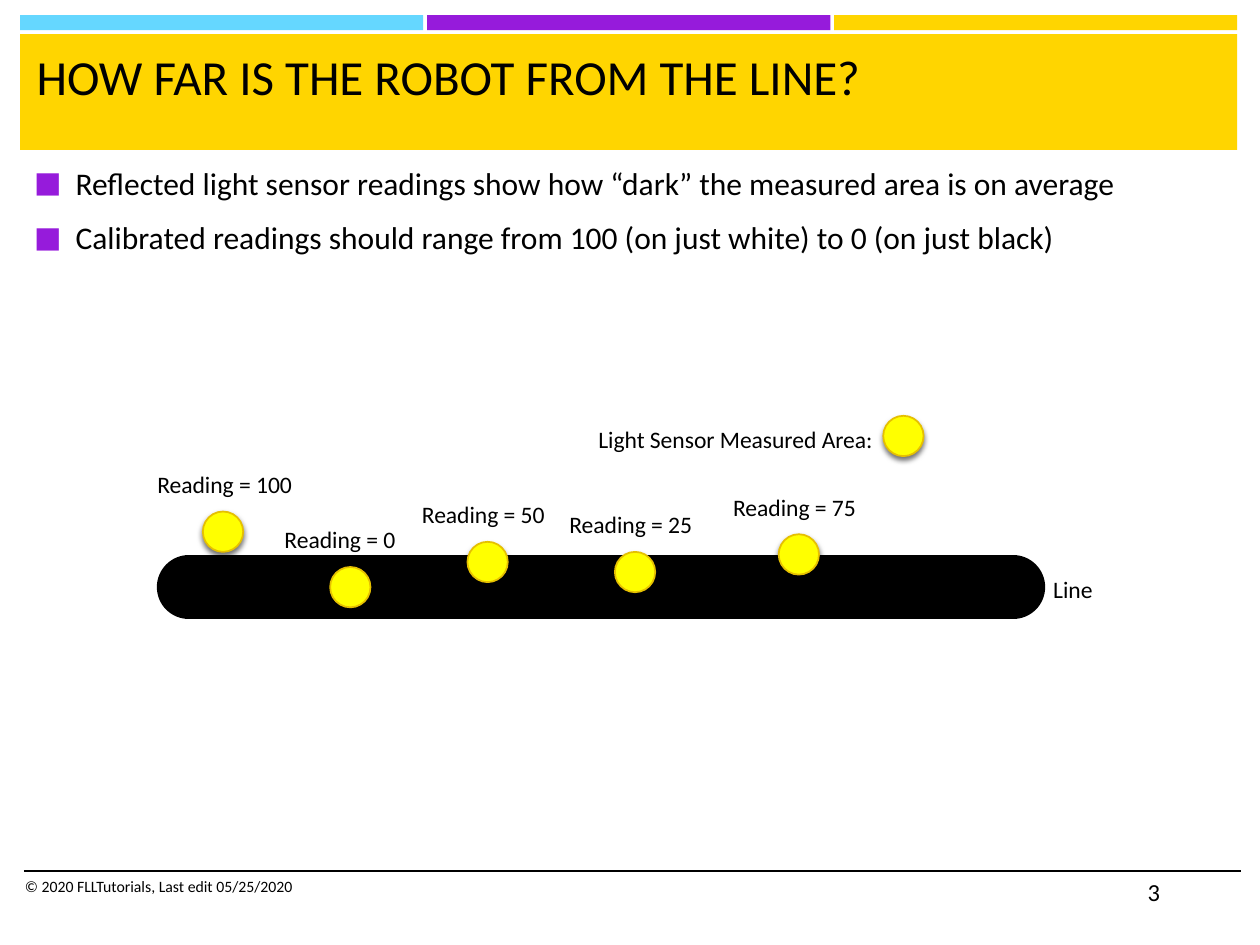
"""Build a slide on light sensor readings around a black line."""
from dataclasses import dataclass
from typing import NamedTuple

from lxml import etree
from pptx import Presentation
from pptx.dml.color import RGBColor
from pptx.enum import shapes, text
from pptx.oxml import parse_xml
from pptx.oxml.ns import nsdecls, qn
from pptx.util import Inches, Pt


@dataclass(frozen=True)
class Theme:
    """Hold the font, colours and type sizes."""
    font: str = "Calibri"
    black: str = "000000"
    blue: str = "65D7FF"
    purple: str = "961BDB"
    gold: str = "FFD500"
    yellow: str = "FFFF00"
    rim: str = "E6C000"
    title: float = 28
    body: float = 18
    label: float = 13.5
    number: float = 14
    footer: float = 9


class Reading(NamedTuple):
    """Describe one sensor position and its value."""
    left: float
    top: float
    value: int
    width: float = 1.19


THEME = Theme()
BARS = (THEME.blue, THEME.purple, THEME.gold)
READINGS = (
    Reading(1.61, 4.06, 100, 1.29),
    Reading(2.62, 4.5, 0, 1.1),
    Reading(3.71, 4.3, 50),
    Reading(4.88, 4.38, 25),
    Reading(6.18, 4.24, 75),
)
POINTS = (
    "Reflected light sensor readings show how “dark” the measured area is on average",
    "Calibrated readings should range from 100 (on just white) to 0 (on just black)",
)


def place(box, left: float, top: float, width: float, height: float) -> None:
    """Set the position and size of a box in inches."""
    frame = {"left": left, "top": top, "width": width, "height": height}
    for name, value in frame.items():
        setattr(box, name, Inches(value))


def write(box, lines: tuple, size: float, wrap: bool = True) -> None:
    """Fill a box with left-aligned paragraphs."""
    frame = box.text_frame
    formats = {"word_wrap": wrap, "vertical_anchor": text.MSO_ANCHOR.TOP,
               "auto_size": text.MSO_AUTO_SIZE.NONE if wrap
               else text.MSO_AUTO_SIZE.SHAPE_TO_FIT_TEXT}
    for name, value in formats.items():
        setattr(frame, name, value)
    frame.text = "\n".join(lines)
    for para in frame.paragraphs:
        para.alignment = text.PP_ALIGN.LEFT
        for span in para.runs:
            for name, value in {"name": THEME.font, "size": Pt(size)}.items():
                setattr(span.font, name, value)
            span.font.color.rgb = RGBColor.from_string(THEME.black)


def add_text(page, line: str, left: float, top: float, width: float,
             height: float = 0.33, size: float = THEME.label, wrap: bool = False) -> None:
    """Add a one-line text box."""
    box = page.shapes.add_textbox(*map(Inches, (left, top, width, height)))
    write(box, (line,), size, wrap)


def add_bar(page, left: float, top: float, width: float, height: float, colour: str) -> None:
    """Add a plain rectangle without an outline."""
    bar = page.shapes.add_shape(shapes.MSO_SHAPE.RECTANGLE,
                                *map(Inches, (left, top, width, height)))
    bar.shadow.inherit = False
    bar.fill.solid()
    bar.fill.fore_color.rgb = RGBColor.from_string(colour)
    bar.line.fill.background()


def add_spot(page, left: float, top: float) -> None:
    """Add a yellow measured area with a soft shadow."""
    spot = page.shapes.add_shape(shapes.MSO_SHAPE.OVAL,
                                 *map(Inches, (left, top, 0.32, 0.32)))
    spot.fill.solid()
    spot.fill.fore_color.rgb = RGBColor.from_string(THEME.yellow)
    spot.line.color.rgb = RGBColor.from_string(THEME.rim)
    spot.line.width = Pt(1)
    spot.element.spPr.append(parse_xml(
        f'<a:effectLst {nsdecls("a")}><a:outerShdw blurRad="{Pt(3)}" dist="{Pt(2)}" '
        f'dir="5400000" algn="ctr" rotWithShape="0"><a:srgbClr val="{THEME.black}">'
        '<a:alpha val="55000"/></a:srgbClr></a:outerShdw></a:effectLst>'))


def add_line(page, start: float, end: float, height: float, weight: float,
             cap: str = "flat") -> None:
    """Add a level black line."""
    line = page.shapes.add_connector(shapes.MSO_CONNECTOR.STRAIGHT,
                                     *map(Inches, (start, height, end, height)))
    line.line.color.rgb = RGBColor.from_string(THEME.black)
    line.line.width = Pt(weight)
    properties = line.element.spPr
    properties.find(qn("a:ln")).set("cap", cap)
    etree.SubElement(properties, qn("a:effectLst"))


def add_bullet(para) -> None:
    """Give a paragraph a purple square bullet."""
    settings = para._p.get_or_add_pPr()
    settings.set("marL", str(Inches(0.33)))
    settings.set("indent", str(Inches(-0.33)))
    colour = etree.SubElement(settings, qn("a:buClr"))
    etree.SubElement(colour, qn("a:srgbClr"), val=THEME.purple)
    etree.SubElement(settings, qn("a:buSzPct"), val="92000")
    etree.SubElement(settings, qn("a:buFont"), typeface=THEME.font)
    etree.SubElement(settings, qn("a:buChar"), char="■")


def main() -> None:
    """Draw the slide and save the deck."""
    deck = Presentation()
    deck.slide_width, deck.slide_height = Inches(10), Inches(7.5)
    page = deck.slides.add_slide(deck.slide_layouts[1])
    title, body = page.placeholders

    for index, colour in enumerate(BARS):
        add_bar(page, 0.16 + index * 3.23, 0.12, 3.2, 0.12, colour)
    add_bar(page, 0.16, 0.27, 9.66, 0.92, THEME.gold)
    add_line(page, 0.19, 9.85, 6.91, 1)

    place(body, 0.17, 1.25, 9.66, 5.56)
    write(body, POINTS, THEME.body)
    for index, para in enumerate(body.text_frame.paragraphs):
        add_bullet(para)
        para.space_before = Pt(3.6 if index else 0)
        para.space_after = Pt(6)
    place(title, 0.19, 0.32, 9.57, 0.82)
    write(title, ("HOW FAR IS THE ROBOT FROM THE LINE?",), THEME.title)
    for box in (body, title):
        box.element.getparent().append(box.element)

    add_line(page, 1.5, 8.04, 4.66, 36.75, "rnd")
    add_text(page, "Line", 8.26, 4.51, 0.52)
    add_spot(page, 7.01, 3.3)
    add_text(page, "Light Sensor Measured Area:", 4.65, 3.32, 2.41)
    for reading in READINGS:
        add_spot(page, reading.left, reading.top)
        add_text(page, f"Reading = {reading.value}", reading.left - 0.46,
                 reading.top - 0.38, reading.width)

    add_text(page, "© 2020 FLLTutorials, Last edit 05/25/2020",
             0.1, 6.91, 5.33, 0.4, THEME.footer, True)
    add_text(page, "3", 9.01, 6.91, 0.84, 0.4, THEME.number, True)
    deck.save("out.pptx")


if __name__ == "__main__":
    main()
